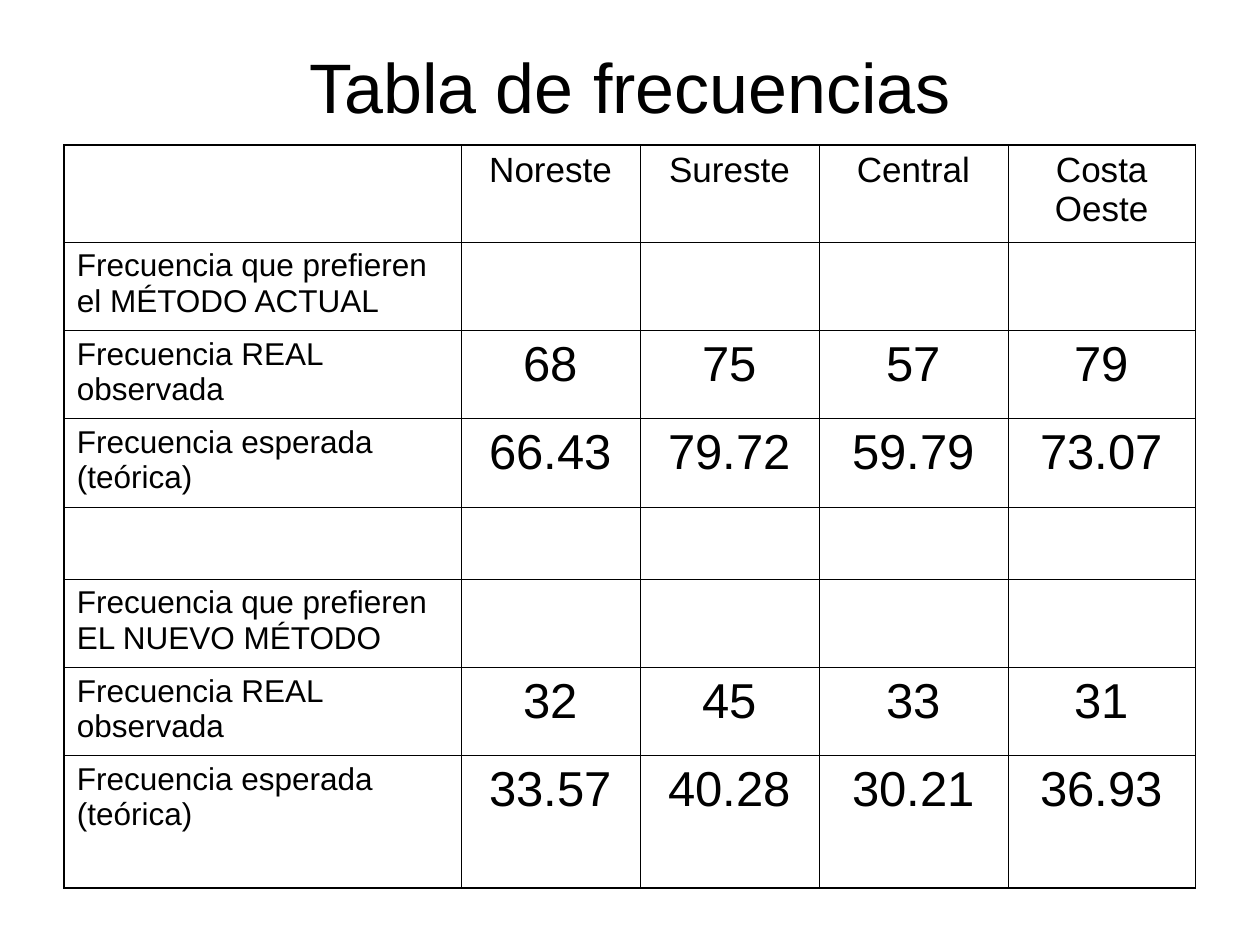
from pptx import Presentation
from pptx.dml.color import RGBColor
from pptx.enum.text import MSO_ANCHOR as Anchor, PP_ALIGN as Align
from pptx.oxml.xmlchemy import OxmlElement as Element
from pptx.util import Inches, Pt

W, H = 10, 7.5


def color(hex_code):
    return RGBColor.from_string(hex_code)


class Deck:
    """Style and current slide; places are shares of the slide's size."""
    font, ink = "Arial", "000000"
    thin, thick = 0.45, 1.08

    def __init__(self):
        self.prs = Presentation()
        self.prs.slide_width, self.prs.slide_height = Inches(W), Inches(H)
        self.s = self.prs.slides.add_slide(self.prs.slide_layouts[6])

    def box(self, x, y, w, h):
        return Inches(x * W), Inches(y * H), Inches(w * W), Inches(h * H)

    def set_text(self, tf, text, size, align):
        tf.word_wrap = True
        p = tf.paragraphs[0]
        p.text, p.alignment = text, align
        f = p.font
        f.name, f.size, f.color.rgb = self.font, Pt(size), color(self.ink)

    def title(self, text, place, size):
        tf = self.s.shapes.add_textbox(*self.box(*place)).text_frame
        tf.vertical_anchor = Anchor.MIDDLE
        self.set_text(tf, text, size, Align.CENTER)

    def border(self, cell, outer_sides):
        props = cell._tc.get_or_add_tcPr()
        for i, side in enumerate("LRTB"):
            width = self.thick if side in outer_sides else self.thin
            ln = Element(f"a:ln{side}")
            ln.set("w", str(Pt(width)))
            fill, rgb = Element("a:solidFill"), Element("a:srgbClr")
            rgb.set("val", self.ink)
            fill.append(rgb)
            ln.append(fill)
            props.insert(i, ln)

    def table(self, rows, place, col_shares, row_shares):
        n_rows, n_cols = len(rows), len(rows[0])
        x, y, w, h = self.box(*place)
        frame = self.s.shapes.add_table(n_rows, n_cols, x, y, w, h)
        table = frame.table
        table.first_row = table.horz_banding = False
        for col, share in zip(table.columns, col_shares):
            col.width = int(w * share / sum(col_shares))
        for row, share in zip(table.rows, row_shares):
            row.height = int(h * share / sum(row_shares))
        for r, values in enumerate(rows):
            for c, text in enumerate(values):
                cell = table.cell(r, c)
                cell.fill.background()
                # Header 20 pt, row labels 18 pt, figures 28 pt
                size = 20 if r == 0 else 28 if c and text else 18
                align = Align.CENTER if c else Align.LEFT
                self.set_text(cell.text_frame, text, size, align)
                edges = {"L": c == 0, "R": c == n_cols - 1,
                         "T": r == 0, "B": r == n_rows - 1}
                self.border(cell, [k for k, on in edges.items() if on])


def group(label, observed, expected):
    """Heading row, then the observed and expected frequencies."""
    return [[label] + [""] * 4,
            ["Frecuencia REAL observada", *observed],
            ["Frecuencia esperada (teórica)", *expected]]


def main():
    deck = Deck()
    deck.title("Tabla de frecuencias", (0.05, 0.04, 0.9, 0.1), 40)

    # Frequencies by region for both methods
    rows = [["", "Noreste", "Sureste", "Central", "Costa Oeste"],
            *group("Frecuencia que prefieren el MÉTODO ACTUAL",
                   ["68", "75", "57", "79"],
                   ["66.43", "79.72", "59.79", "73.07"]),
            [""] * 5,
            *group("Frecuencia que prefieren EL NUEVO MÉTODO",
                   ["32", "45", "33", "31"],
                   ["33.57", "40.28", "30.21", "36.93"])]
    deck.table(rows, (0.051, 1.15 / H, 0.898, 5.9 / H),
               col_shares=[3.15, 1.42, 1.42, 1.5, 1.49],
               row_shares=[0.77, 0.7, 0.7, 0.7, 0.57, 0.7, 0.7, 1.05])
    deck.prs.save("out.pptx")


if __name__ == "__main__":
    main()
